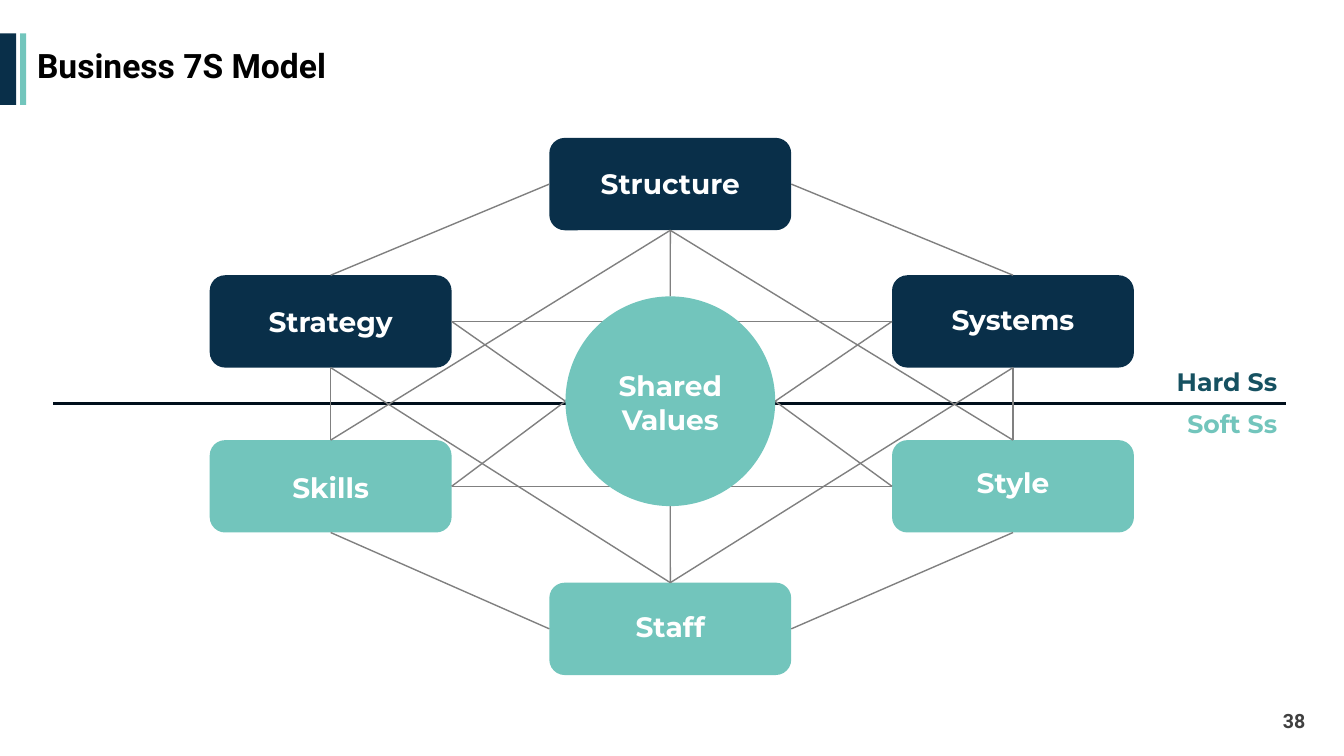
"""Builds the 7S model slide: six linked boxes around a shared hub."""
from lxml.etree import SubElement
from pptx import Presentation
from pptx.dml.color import RGBColor
from pptx.enum.shapes import MSO_CONNECTOR, MSO_SHAPE
from pptx.enum.text import MSO_ANCHOR, PP_ALIGN
from pptx.oxml.ns import qn
from pptx.util import Pt

COLORS = {
    "navy": "092F49", "teal": "72C5BC", "axis": "000E1B", "link": "808080",
    "hard": "165161", "white": "FFFFFF", "black": "000000", "number": "404040",
}
TOP, LEFT, BOTTOM, RIGHT = range(4)


class SlideBuilder:
    def __init__(self, prs):
        self.slide = prs.slides.add_slide(prs.slide_layouts[6])
        self.body_font = "Montserrat"
        self.head_font = "Roboto"

    def color(self, name):
        return RGBColor.from_string(COLORS[name])

    def shape(self, kind, x, y, w, h, fill):
        sp = self.slide.shapes.add_shape(kind, Pt(x), Pt(y), Pt(w), Pt(h))
        sp.shadow.inherit = False
        sp.fill.solid()
        sp.fill.fore_color.rgb = self.color(fill)
        sp.line.fill.background()
        return sp

    def text(self, lines, x, y, w, h, size=20, color="white", font=None,
             align=PP_ALIGN.CENTER, anchor=MSO_ANCHOR.TOP, spacing=1.0):
        tf = self.slide.shapes.add_textbox(Pt(x), Pt(y), Pt(w), Pt(h)).text_frame
        tf.word_wrap = True
        tf.vertical_anchor = anchor
        fmt = {"name": font or self.body_font, "size": Pt(size), "bold": True}
        for i, line in enumerate(lines):
            p = tf.paragraphs[0] if i == 0 else tf.add_paragraph()
            p.alignment = align
            p.line_spacing = spacing
            r = p.add_run()
            r.text = line
            for key, value in fmt.items():
                setattr(r.font, key, value)
            r.font.color.rgb = self.color(color)

    def line(self, start, end, color="link", width=1):
        points = [Pt(v) if isinstance(v, float) else 0 for v in (*start, *end)]
        cxn = self.slide.shapes.add_connector(MSO_CONNECTOR.STRAIGHT, *points)
        cxn.line.color.rgb = self.color(color)
        cxn.line.width = Pt(width)
        SubElement(cxn._element.spPr, qn("a:effectLst"))
        for (target, side), connect in ((start, cxn.begin_connect), (end, cxn.end_connect)):
            if not isinstance(target, float):
                connect(target, side)


def main():
    prs = Presentation()
    prs.slide_width, prs.slide_height = Pt(960), Pt(540)
    s = SlideBuilder(prs)

    for x, w, fill in ((0, 11.5, "navy"), (14.4, 4.3, "teal")):
        s.shape(MSO_SHAPE.RECTANGLE, x, 23.8, w, 51.1, fill)
    s.line((38.2, 288.0), (918.7, 288.0), "axis", 2)
    s.text(["38"], 723.6, 500.4, 216, 28.8, 14, "number", s.head_font,
           PP_ALIGN.RIGHT, MSO_ANCHOR.MIDDLE)
    s.text(["Business 7S Model"], 19.4, 23, 919.4, 51.1, 24, "black", s.head_font,
           PP_ALIGN.LEFT, MSO_ANCHOR.MIDDLE, 0.9)

    box_w, box_h = 172.8, 66
    col_left, col_mid, col_right = 149.8, 392.4, 637.2
    layout = {
        "Structure": (col_mid, 98.5, "navy", 115.2),
        "Strategy": (col_left, 196.6, "navy", 213.8),
        "Systems": (col_right, 196.6, "navy", 212.4),
        "Style": (col_right, 314.4, "teal", 329),
        "Skills": (col_left, 314.4, "teal", 332.6),
        "Staff": (col_mid, 416.2, "teal", 432),
    }
    boxes = {name: s.shape(MSO_SHAPE.ROUNDED_RECTANGLE, x, y, box_w, box_h, fill)
             for name, (x, y, fill, _) in layout.items()}

    hub_d = 149.8
    hub_x, hub_y = col_mid + box_w / 2, 286.6
    hub_top, hub_bottom = ((hub_x, hub_y + k * hub_d / 2) for k in (-1, 1))
    hub_left, hub_right = ((hub_x + k * hub_d / 2, hub_y) for k in (-1, 1))

    links = [
        ("Strategy", RIGHT, "Systems", LEFT), ("Skills", RIGHT, "Style", LEFT),
        ("Strategy", BOTTOM, "Skills", TOP), ("Systems", BOTTOM, "Style", TOP),
        ("Strategy", TOP, "Structure", LEFT), ("Systems", TOP, "Structure", RIGHT),
        ("Skills", BOTTOM, "Staff", LEFT), ("Style", BOTTOM, "Staff", RIGHT),
        ("Skills", TOP, "Structure", BOTTOM), ("Style", TOP, "Structure", BOTTOM),
        ("Strategy", BOTTOM, "Staff", TOP), ("Systems", BOTTOM, "Staff", TOP),
    ]
    for a, a_side, b, b_side in links:
        s.line((boxes[a], a_side), (boxes[b], b_side))
    spokes = [
        ("Structure", BOTTOM, hub_top), ("Staff", TOP, hub_bottom),
        ("Strategy", RIGHT, hub_left), ("Skills", RIGHT, hub_left),
        ("Systems", LEFT, hub_right), ("Style", LEFT, hub_right),
    ]
    for name, side, point in spokes:
        s.line((boxes[name], side), point)

    s.shape(MSO_SHAPE.OVAL, hub_left[0], hub_top[1], hub_d, hub_d, "teal")

    label_w = 136
    for name, (x, _, _, label_y) in layout.items():
        s.text([name], x + (box_w - label_w) / 2, label_y, label_w, 31.7)
    s.text(["Shared", "Values"], hub_x - label_w / 2, 259.9, label_w, 55.4)
    for name, y, color in (("Hard Ss", 257.8, "hard"), ("Soft Ss", 288, "teal")):
        s.text([name], 828, y, 91.4, 28.8, 18, color, align=PP_ALIGN.RIGHT)

    prs.save("out.pptx")


if __name__ == "__main__":
    main()
